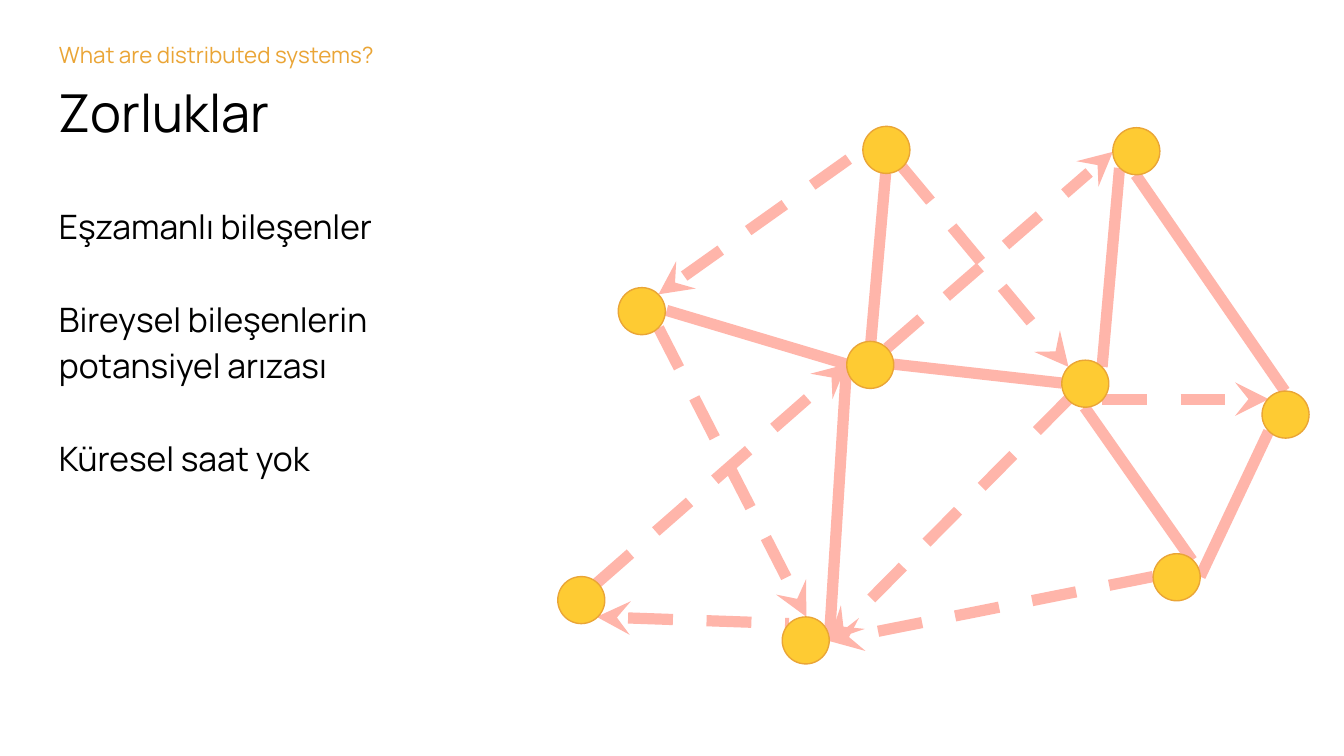
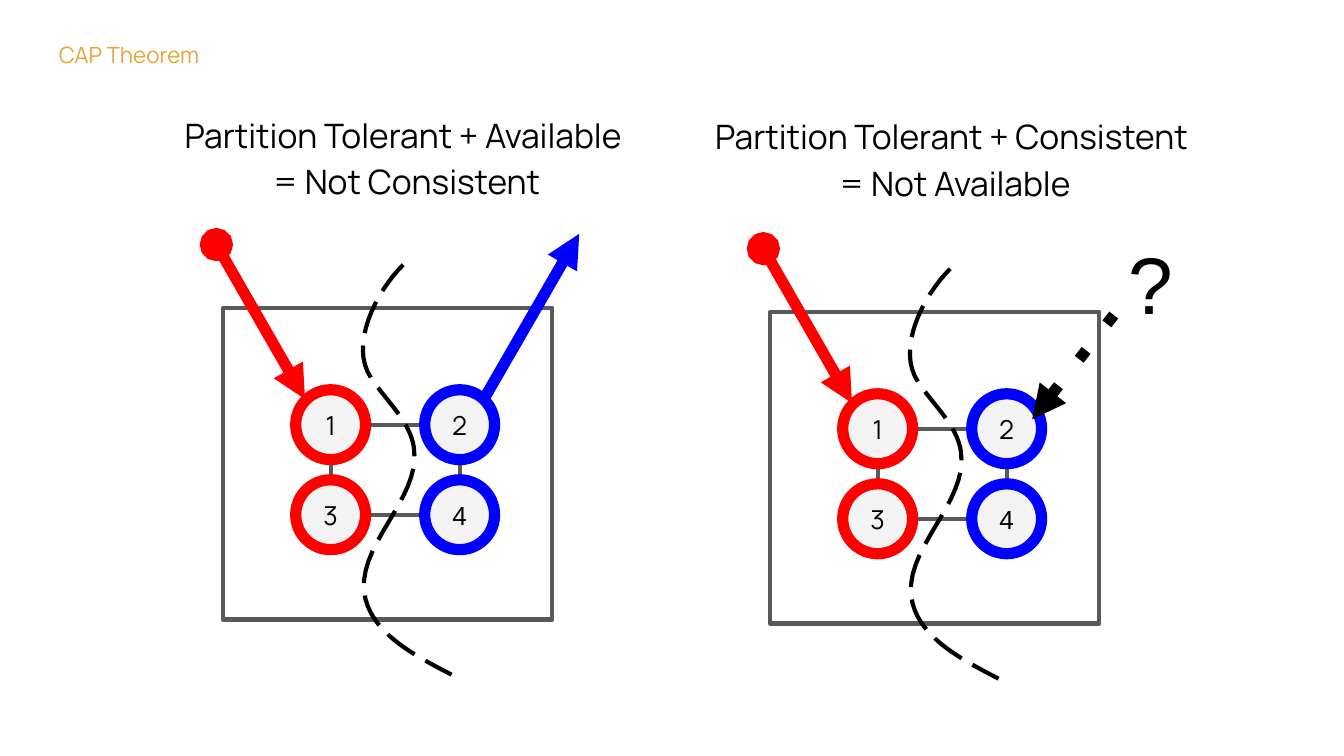
"""Build two slides on distributed systems and the CAP theorem."""
from dataclasses import dataclass
from typing import NamedTuple

from lxml import etree
from pptx import Presentation
from pptx import util as u
from pptx.dml import color as hue
from pptx.enum import shapes as kinds, text as txt
from pptx.oxml import ns

PX = 9144
WIDE = 1000


@dataclass(frozen=True)
class Theme:
    """Colours, fonts, type sizes and line widths."""
    font: str = "Manrope"
    plain: str = "Arial"
    ink: str = "000000"
    amber: str = "EAA536"
    gold: str = "FECB33"
    pink: str = "FFB5AA"
    gray: str = "595959"
    pale: str = "F3F3F3"
    red: str = "FF0000"
    blue: str = "0000FF"
    label: int = 12
    digit: int = 14
    body: int = 18
    title: int = 28
    mark: int = 43
    hair: float = 0.75
    thin: float = 2.25
    bold: float = 6
    lead: float = 1.15
    gap: float = 24.75


T = Theme()


class Box(NamedTuple):
    """Left, top, width and height in px."""
    x: int
    y: int
    w: int
    h: int


class Link(NamedTuple):
    """A line between two points, with its dash and ends."""
    x1: int
    y1: int
    x2: int
    y2: int
    dash: str = ""
    head: str = ""
    tail: str = ""
    tint: str = T.pink
    width: float = T.bold


class Note(NamedTuple):
    """A text box and its style."""
    box: Box
    lines: tuple[str, ...]
    size: int
    tint: str = T.ink
    font: str = T.font
    lead: float = 1.0
    mid: bool = False
    inset: int = 10
    right: int = 10


class Node(NamedTuple):
    """A numbered circle inside a panel."""
    x: int
    y: int
    word: str
    ring: str
    font: str = T.font


class Panel(NamedTuple):
    """One CAP case, moved by dx and dy, with its heading and reply."""
    dx: int
    dy: int
    head: Note
    reply: Link


DOT, DISC, CELL = 35, 52, Box(166, 229, 245, 232)
MESH = (
    Link(490, 219, 642, 111, "dash", "stealth"),
    Link(490, 244, 600, 459, "dash", "", "stealth"),
    Link(444, 459, 587, 464, "dash", "stealth"),
    Link(630, 271, 617, 477),
    Link(630, 271, 496, 231),
    Link(858, 429, 617, 477, "dash", "", "stealth"),
    Link(671, 124, 795, 273, "dash", "", "stealth"),
    Link(648, 254, 659, 129),
    Link(820, 273, 833, 125),
    Link(887, 417, 807, 303),
    Link(820, 297, 944, 297, "dash", "", "stealth"),
    Link(893, 429, 944, 321),
    Link(956, 291, 845, 130),
    Link(444, 434, 630, 271, "dash", "", "stealth"),
    Link(660, 259, 828, 113, "dash", "", "stealth"),
    Link(665, 271, 790, 285),
    Link(795, 297, 617, 477, "dash", "", "stealth"),
)
DOTS = ((460, 214), (828, 95), (858, 412), (939, 291), (582, 459),
        (415, 429), (630, 254), (790, 268), (642, 94))
NODES = (Node(220, 290, "1", T.red), Node(316, 290, "2", T.blue),
         Node(220, 357, "3", T.red), Node(316, 357, "4", T.blue, T.plain))
WIRES = ((272, 316, 316, 316), (246, 342, 246, 357),
         (272, 383, 316, 383), (342, 342, 342, 357))
CURVE = ((300, 197), (279, 218), (260, 257), (276, 281),
         (287, 298), (305, 313), (308, 333),
         (314, 372), (262, 407), (272, 446),
         (279, 473), (311, 489), (336, 502))
PANELS = (
    Panel(0, 0,
          Note(Box(104, 71, 397, 52),
               ("Partition Tolerant + Available \v= Not Consistent",),
               T.body, lead=T.lead, mid=True),
          Link(360, 297, 431, 174, tail="triangle", tint=T.blue)),
    Panel(407, 3,
          Note(Box(485, 72, 451, 109),
               ("Partition Tolerant + Consistent \v= Not Available",),
               T.body, lead=T.lead, mid=True),
          Link(768, 312, 840, 220, "dot", "triangle", tint=T.ink)),
)


def rgb(code: str) -> hue.RGBColor:
    """Turn a hex code into a colour."""
    return hue.RGBColor.from_string(code)


def ink(run, size: int, tint: str, font: str) -> None:
    """Format one run."""
    run.font.size = u.Pt(size)
    run.font.name = font
    run.font.color.rgb = rgb(tint)


def pen(shape, tint: str, width: float, dash: str = "",
        head: str = "", tail: str = "") -> None:
    """Set the line of a shape, its dash and its ends."""
    shape.line.color.rgb = rgb(tint)
    shape.line.width = u.Pt(width)
    line = shape.element.spPr.find(ns.qn("a:ln"))
    for tag, key, kind in (("a:prstDash", "val", dash),
                           ("a:headEnd", "type", head),
                           ("a:tailEnd", "type", tail)):
        if kind:
            etree.SubElement(line, ns.qn(tag)).set(key, kind)


def write(slide, note: Note) -> None:
    """Draw a text box."""
    area = slide.shapes.add_textbox(*(v * PX for v in note.box))
    frame = area.text_frame
    frame.word_wrap = True
    frame.margin_left = frame.margin_top = note.inset * PX
    frame.margin_bottom = note.inset * PX
    frame.margin_right = note.right * PX
    for i, line in enumerate(note.lines):
        para = frame.add_paragraph() if i else frame.paragraphs[0]
        para.text = line
        para.line_spacing = note.lead
        if i:
            para.space_before = u.Pt(T.gap)
        if note.mid:
            para.alignment = txt.PP_ALIGN.CENTER
        for run in para.runs:
            ink(run, note.size, note.tint, note.font)


def join(slide, link: Link) -> None:
    """Draw a straight line."""
    line = slide.shapes.add_connector(
        kinds.MSO_CONNECTOR.STRAIGHT, *(v * PX for v in link[:4]))
    pen(line, link.tint, link.width, link.dash, link.head, link.tail)
    etree.SubElement(line.element.spPr, ns.qn("a:effectLst"))


def form(slide, kind, box: Box, fill: str, tint: str, width: float):
    """Draw a preset shape; an empty fill leaves it clear."""
    shape = slide.shapes.add_shape(kind, *(v * PX for v in box))
    shape.shadow.inherit = False
    if fill:
        shape.fill.solid()
        shape.fill.fore_color.rgb = rgb(fill)
    else:
        shape.fill.background()
    pen(shape, tint, width)
    return shape


def disc(slide, node: Node, dx: int, dy: int) -> None:
    """Draw a numbered circle."""
    shape = form(slide, kinds.MSO_SHAPE.OVAL,
                 Box(node.x + dx, node.y + dy, DISC, DISC),
                 T.pale, node.ring, T.bold)
    frame = shape.text_frame
    frame.margin_left = frame.margin_right = 10 * PX
    frame.margin_top = frame.margin_bottom = 10 * PX
    frame.vertical_anchor = txt.MSO_ANCHOR.MIDDLE
    frame.text = node.word
    para = frame.paragraphs[0]
    para.alignment = txt.PP_ALIGN.CENTER
    ink(para.runs[0], T.digit, T.ink, node.font)


def trace(points: tuple, steps: int = 16) -> list[tuple[int, int]]:
    """Sample a chain of cubic curves in EMU."""
    out = [(points[0][0] * PX, points[0][1] * PX)]
    for i in range(0, len(points) - 1, 3):
        for k in range(1, steps + 1):
            t = k / steps
            mix = ((1 - t) ** 3, 3 * t * (1 - t) ** 2,
                   3 * t * t * (1 - t), t ** 3)
            out.append(tuple(
                round(PX * sum(m * p[a] for m, p in zip(mix, points[i:i + 4])))
                for a in (0, 1)))
    return out


def split(slide, dx: int, dy: int) -> None:
    """Draw the wavy partition line."""
    spots = trace(tuple((x + dx, y + dy) for x, y in CURVE))
    path = slide.shapes.build_freeform(*spots[0], scale=1.0)
    path.add_line_segments(spots[1:], close=False)
    wave = path.convert_to_shape()
    wave.shadow.inherit = False
    wave.fill.background()
    pen(wave, T.ink, T.thin, "lgDash")


def case(slide, panel: Panel) -> None:
    """Draw one CAP case."""
    dx, dy = panel.dx, panel.dy
    for x1, y1, x2, y2 in WIRES:
        join(slide, Link(x1 + dx, y1 + dy, x2 + dx, y2 + dy,
                         tint=T.gray, width=T.thin))
    form(slide, kinds.MSO_SHAPE.RECTANGLE,
         CELL._replace(x=CELL.x + dx, y=CELL.y + dy), "", T.gray, T.thin)
    for node in NODES:
        disc(slide, node, dx, dy)
    join(slide, Link(161 + dx, 182 + dy, 227 + dx, 297 + dy,
                     head="oval", tail="triangle", tint=T.red))
    split(slide, dx, dy)
    write(slide, panel.head)
    join(slide, panel.reply)


def page(deck, topic: str):
    """Add a blank slide with its topic line."""
    slide = deck.slides.add_slide(deck.slide_layouts[6])
    write(slide, Note(Box(34, 21, 929, 43), (topic,), T.label, T.amber))
    return slide


def main() -> None:
    """Build and save the deck."""
    deck = Presentation()
    deck.slide_width = WIDE * PX
    deck.slide_height = WIDE * PX * 9 // 16

    slide = page(deck, "What are distributed systems?")
    write(slide, Note(Box(34, 139, 289, 374), (
        "Eşzamanlı bileşenler",
        "Bireysel bileşenlerin potansiyel arızası",
        "Küresel saat yok"), T.body, lead=T.lead))
    write(slide, Note(Box(34, 50, 355, 63), ("Zorluklar",), T.title))
    for link in MESH:
        join(slide, link)
    for x, y in DOTS:
        form(slide, kinds.MSO_SHAPE.OVAL, Box(x, y, DOT, DOT),
             T.gold, T.amber, T.hair)

    slide = page(deck, "CAP Theorem")
    for panel in PANELS:
        case(slide, panel)
    write(slide, Note(Box(813, 147, 64, 73), ("?",), T.mark,
                      font=T.plain, inset=27, right=0))
    deck.save("out.pptx")


if __name__ == "__main__":
    main()
